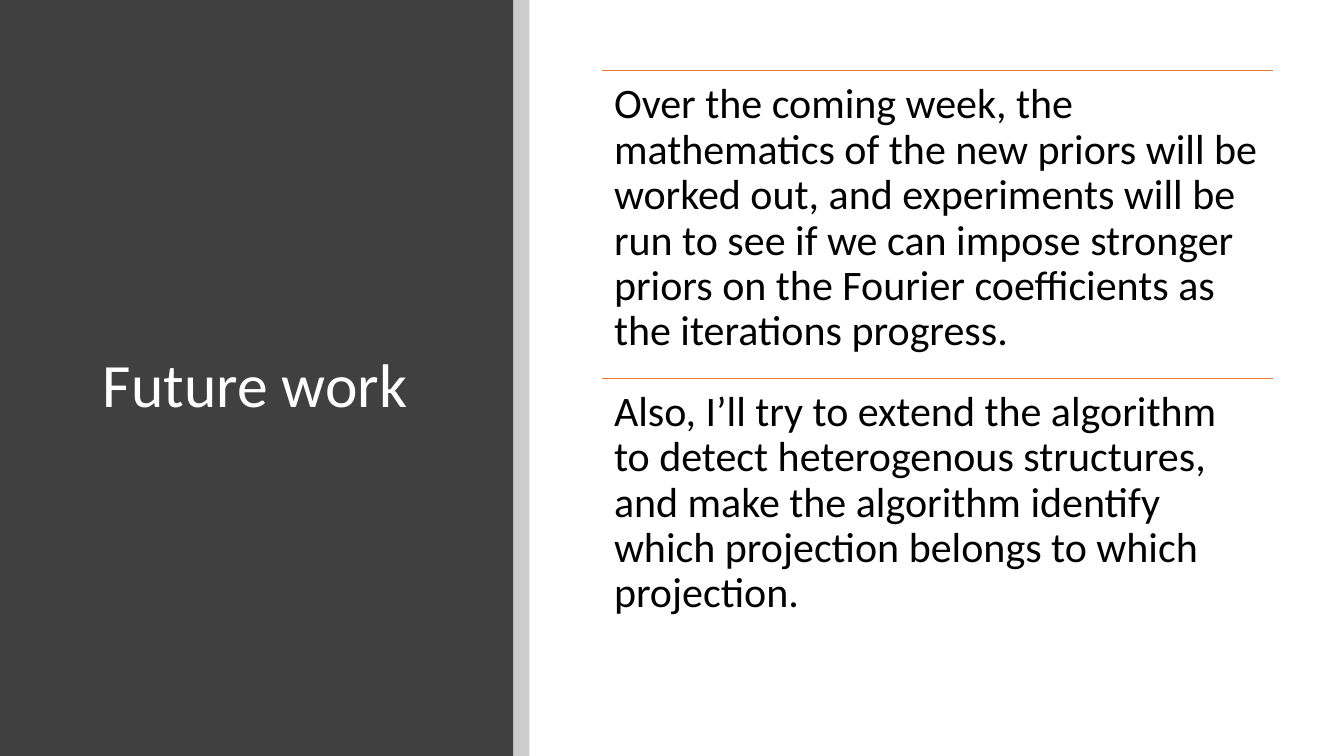
from lxml.etree import SubElement
from pptx import Presentation
from pptx.dml.color import RGBColor
from pptx.enum.shapes import MSO_CONNECTOR, MSO_SHAPE
from pptx.enum.text import MSO_ANCHOR, MSO_AUTO_SIZE, PP_ALIGN
from pptx.oxml.ns import qn
from pptx.util import Inches, Pt

COLORS = {"panel": "404040", "edge": "000000", "rule": "ED7D31",
          "title": "FFFFFF", "body": "000000"}
FONT = "Calibri"
TITLE_ONLY = 5


class SlideBuilder:
    """Holds the style and the current slide."""

    def __init__(self, prs):
        """Add a title-only slide."""
        self.slide = prs.slides.add_slide(prs.slide_layouts[TITLE_ONLY])
        self.shapes = self.slide.shapes

    def color(self, name):
        """Return a named colour."""
        return RGBColor.from_string(COLORS[name])

    def rect(self, x, y, w, h, color, alpha=100):
        """Draw a plain rectangle with an opacity in percent."""
        sp = self.shapes.add_shape(MSO_SHAPE.RECTANGLE, Inches(x), Inches(y),
                                   Inches(w), Inches(h))
        sp.shadow.inherit = False
        sp.line.fill.background()
        sp.fill.solid()
        sp.fill.fore_color.rgb = self.color(color)
        if alpha < 100:
            clr = sp._element.spPr.find(qn("a:solidFill"))[0]
            SubElement(clr, qn("a:alpha")).set("val", str(alpha * 1000))

    def rule(self, x, y, w):
        """Draw a thin horizontal line."""
        line = self.shapes.add_connector(MSO_CONNECTOR.STRAIGHT, Inches(x),
                                         Inches(y), Inches(x + w), Inches(y))
        line.line.color.rgb = self.color("rule")
        line.line.width = Pt(0.5)
        SubElement(line._element.spPr, qn("a:effectLst"))

    def fill_text(self, tf, text, size, color, anchor):
        """Fill a text frame with one left-aligned paragraph."""
        tf.word_wrap = True
        tf.auto_size = MSO_AUTO_SIZE.NONE
        tf.vertical_anchor = anchor
        p = tf.paragraphs[0]
        p.text = text
        p.alignment = PP_ALIGN.LEFT
        p.line_spacing = 0.9
        p.font.name = FONT
        p.font.size = Pt(size)
        p.font.color.rgb = self.color(color)

    def title(self, x, y, w, h, text):
        """Place the title in front of the shapes drawn so far."""
        sp = self.shapes.title
        sp.left, sp.top, sp.width, sp.height = map(Inches, (x, y, w, h))
        self.fill_text(sp.text_frame, text, 44, "title", MSO_ANCHOR.MIDDLE)
        self.shapes._spTree.append(sp._element)

    def text(self, x, y, w, h, text):
        """Add a block of body text."""
        tf = self.shapes.add_textbox(Inches(x), Inches(y), Inches(w),
                                     Inches(h)).text_frame
        tf.margin_left = tf.margin_right = Inches(0.12)
        tf.margin_top = tf.margin_bottom = Inches(0.12)
        self.fill_text(tf, text, 30, "body", MSO_ANCHOR.TOP)


PLANS = [
    "Over the coming week, the mathematics of the new priors will be worked "
    "out, and experiments will be run to see if we can impose stronger priors "
    "on the Fourier coefficients as the iterations progress.",
    "Also, I’ll try to extend the algorithm to detect heterogenous "
    "structures, and make the algorithm identify which projection belongs to "
    "which projection.",
]
PLAN_X, PLAN_Y, PLAN_W, PLAN_H = 5.97, 0.7, 6.66, 3.05


def main():
    """Build and save the slide."""
    prs = Presentation()
    prs.slide_width, prs.slide_height = Inches(13.33), Inches(7.5)
    s = SlideBuilder(prs)
    s.rect(0, 0, 5.09, 7.5, "panel")
    s.title(0.92, 0.89, 3.65, 5.91, "Future work")
    s.rect(5.09, 0, 0.16, 7.5, "edge", alpha=20)
    for i, plan in enumerate(PLANS):
        y = PLAN_Y + i * PLAN_H
        s.rule(PLAN_X, y, PLAN_W)
        s.text(PLAN_X, y, PLAN_W, PLAN_H, plan)
    prs.save("out.pptx")


main()
